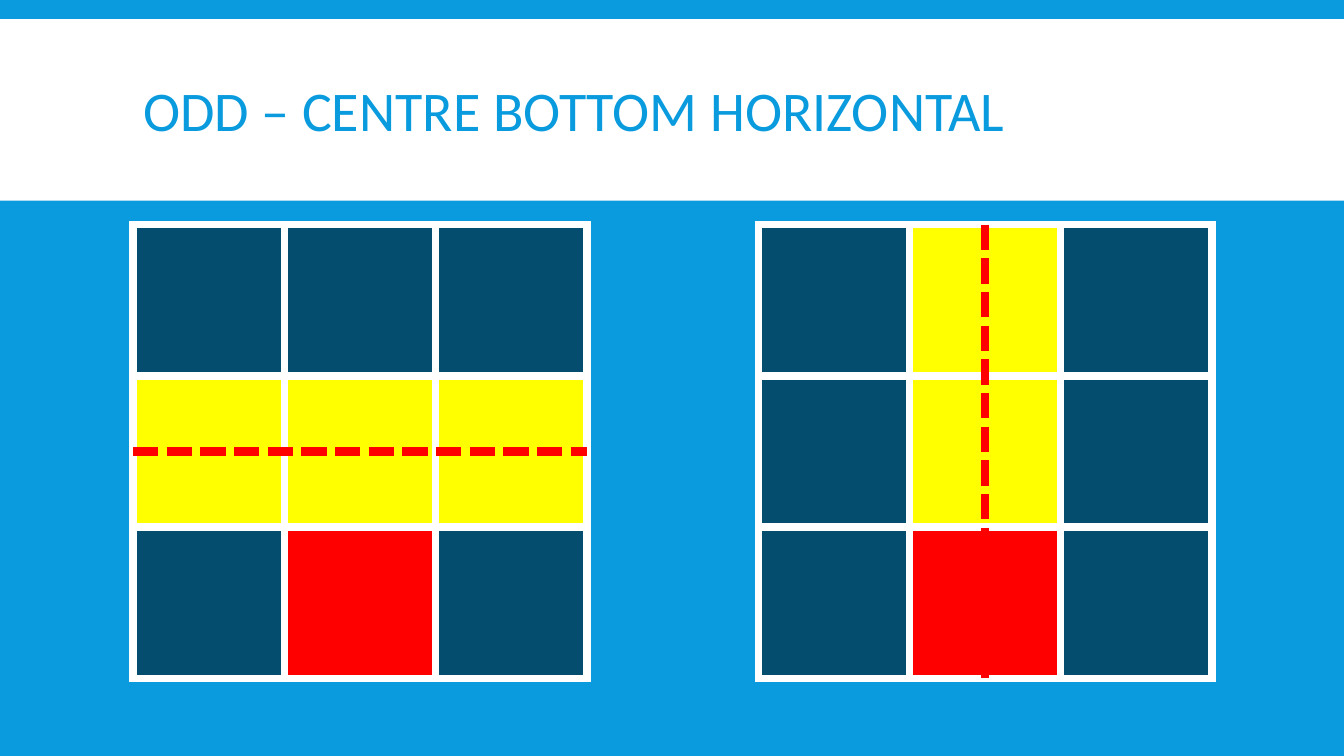
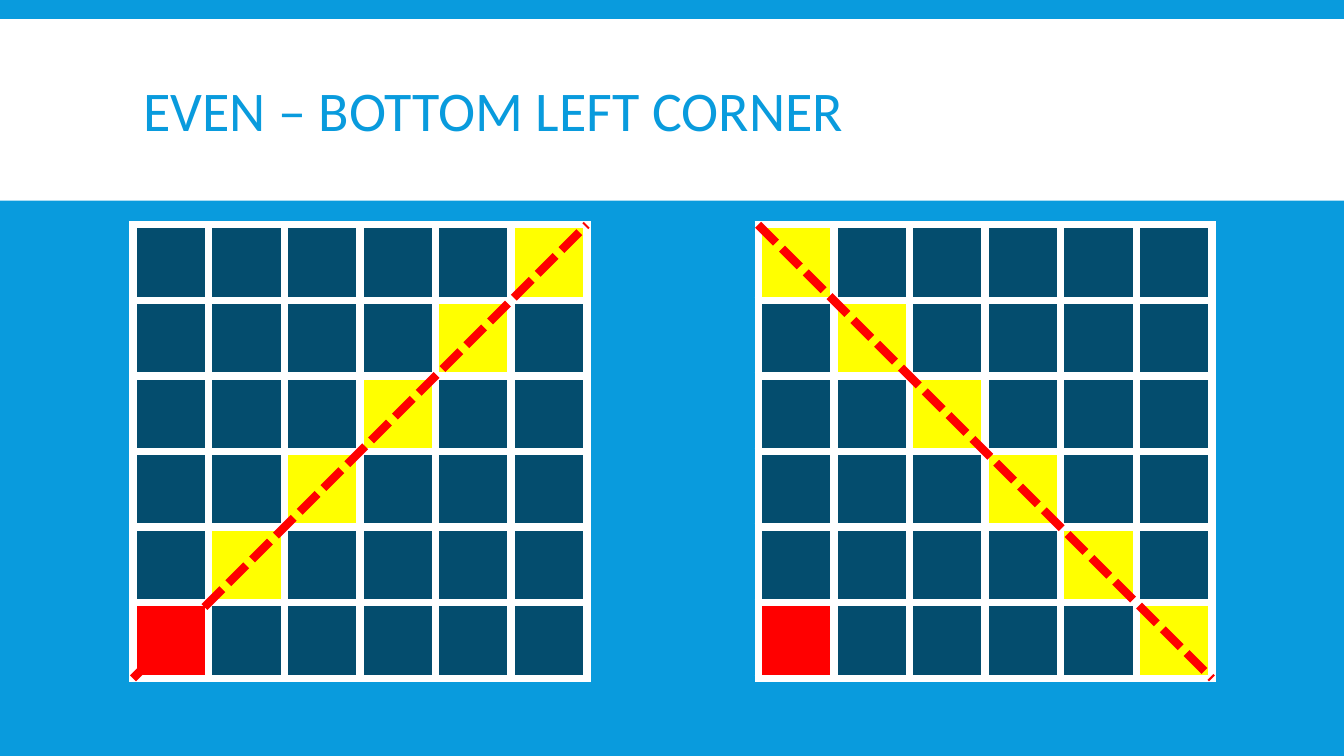
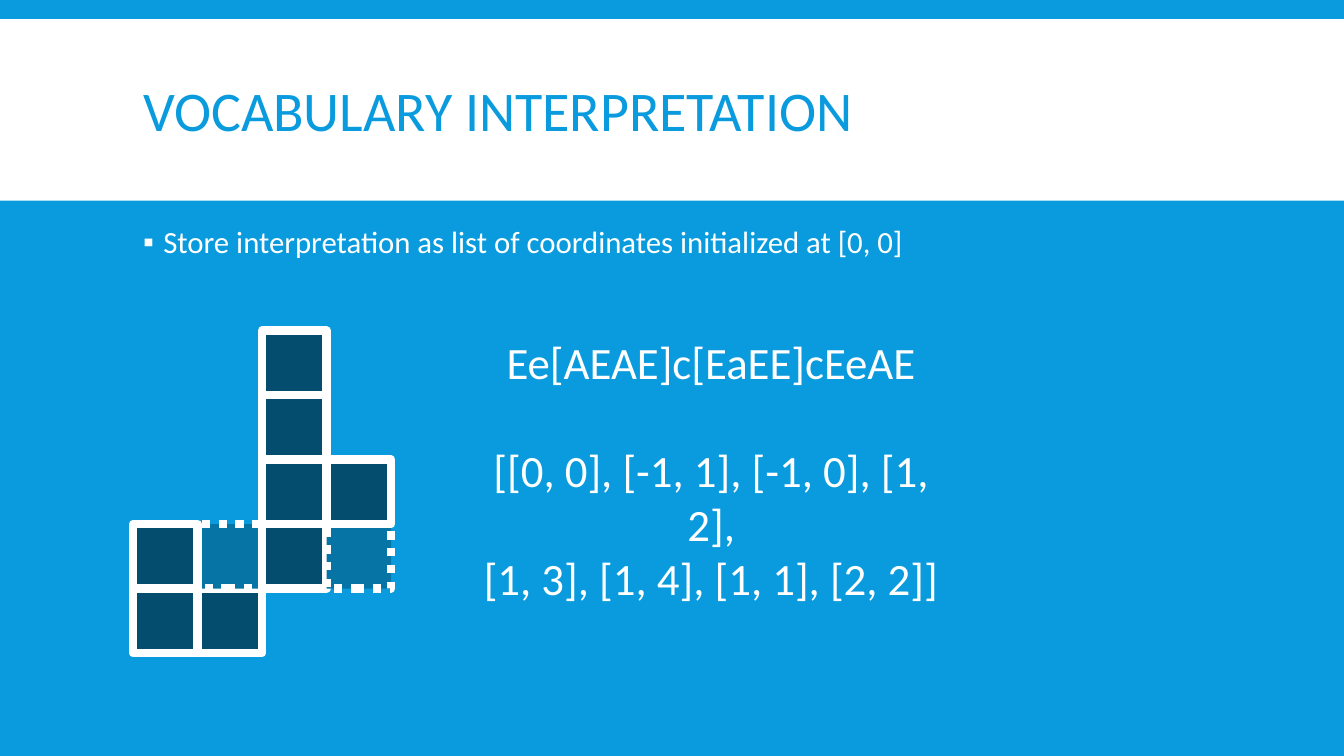
from lxml import etree
from pptx import Presentation
from pptx.dml.color import RGBColor
from pptx.enum.dml import MSO_LINE
from pptx.enum.shapes import MSO_CONNECTOR, MSO_SHAPE
from pptx.enum.text import MSO_ANCHOR, MSO_AUTO_SIZE, PP_ALIGN
from pptx.oxml.ns import qn
from pptx.util import Inches, Pt

BLUE = RGBColor(0x09, 0x9B, 0xDD)
NAVY = RGBColor(0x04, 0x4D, 0x6E)
MID_BLUE = RGBColor(0x07, 0x74, 0xA6)
WHITE = RGBColor(0xFF, 0xFF, 0xFF)
YELLOW = RGBColor(0xFF, 0xFF, 0x00)
RED = RGBColor(0xFF, 0x00, 0x00)

SYSTEM_DASH = MSO_LINE.SQUARE_DOT
SYSTEM_DOT = MSO_LINE.ROUND_DOT
RECTANGLE = MSO_SHAPE.RECTANGLE
STRAIGHT = MSO_CONNECTOR.STRAIGHT
LEFT, CENTER = PP_ALIGN.LEFT, PP_ALIGN.CENTER

FONT = "Calibri"
THICK = Pt(6)
MARGIN = 1.32
CONTENT_WIDTH = 10.7
TITLE_ONLY, TITLE_AND_BODY = 5, 1

CELL_COLOURS = {".": NAVY, "y": YELLOW, "r": RED}
GRID_LEFTS = (MARGIN, 7.52)
GRID_TOP, GRID_SIZE = 2.23, 4.5

# Each grid: its rows of cells, then the ends of its axis as fractions of its size
GRID_SLIDES = [
    ("ODD – CENTRE BOTTOM HORIZONTAL", [
        (("...", "yyy", ".r."), (0, 0.5), (1, 0.5)),
        ((".y.", ".y.", ".r."), (0.5, 0), (0.5, 1)),
    ]),
    ("EVEN – BOTTOM LEFT CORNER", [
        ((".....y", "....y.", "...y..", "..y...", ".y....", "r....."), (0, 1), (1, 0)),
        (("y.....", ".y....", "..y...", "...y..", "....y.", "r....y"), (0, 0), (1, 1)),
    ]),
]

VOCABULARY_TITLE = "VOCABULARY INTERPRETATION"
VOCABULARY_BULLET = "Store interpretation as list of coordinates initialized at [0, 0]"
# Text and space before, in points
VOCABULARY_LINES = [
    ("Ee[AEAE]c[EaEE]cEeAE", 0),
    ("[[0, 0], [-1, 1], [-1, 0], [1, 2],", 39),
    ("[1, 3], [1, 4], [1, 1], [2, 2]]", 0),
]
TILE_SIZE, TILES_TOP = 0.64, 3.28
# Column, row, dotted; from back to front
TILES = [
    (1, 4, False), (1, 3, True), (0, 3, False), (0, 4, False), (2, 2, False),
    (2, 1, False), (2, 0, False), (2, 3, False), (3, 3, True), (3, 2, False),
]


def place(shape, left, top, width, height):
    shape.left, shape.top = Inches(left), Inches(top)
    shape.width, shape.height = Inches(width), Inches(height)


def write(paragraph, text, size, colour, alignment, line_spacing=1.0, before=0):
    paragraph.alignment = alignment
    paragraph.line_spacing = line_spacing
    paragraph.space_before = Pt(before)
    run = paragraph.add_run()
    run.text = text
    run.font.name, run.font.size = FONT, Pt(size)
    run.font.color.rgb = colour


def fill_solid(target, colour):
    target.fill.solid()
    target.fill.fore_color.rgb = colour


def add_rectangle(shapes, left, top, width, height, colour):
    shape = shapes.add_shape(
        RECTANGLE, Inches(left), Inches(top), Inches(width), Inches(height))
    shape.shadow.inherit = False
    fill_solid(shape, colour)
    return shape


def set_up_master(presentation):
    """Give the master its background, title band and placeholder positions."""
    master = presentation.slide_master
    fill_solid(master.background, BLUE)
    for placeholder in master.placeholders:
        if placeholder.placeholder_format.idx == 0:
            place(placeholder, MARGIN, 0.31, CONTENT_WIDTH, 1.65)
            break


def add_master_band(presentation, slide):
    """Master shapes cannot be added directly, so draw the band and move it."""
    band = add_rectangle(slide.shapes, 0, 0.19, 13.33, 1.8, WHITE)
    band.line.fill.background()
    presentation.slide_master.shapes[0].element.addprevious(band.element)


def add_titled_slide(presentation, layout, title):
    slide = presentation.slides.add_slide(presentation.slide_layouts[layout])
    place(slide.shapes.title, MARGIN, 0.31, CONTENT_WIDTH, 1.65)
    frame = slide.shapes.title.text_frame
    frame.word_wrap = True
    frame.auto_size = MSO_AUTO_SIZE.NONE
    frame.vertical_anchor = MSO_ANCHOR.MIDDLE
    write(frame.paragraphs[0], title, 40, BLUE, LEFT, 0.85)
    return slide


def add_cell_borders(cell):
    properties = cell._tc.get_or_add_tcPr()
    for side in ("lnL", "lnR", "lnT", "lnB"):
        line = etree.SubElement(properties, qn("a:" + side), w=str(THICK))
        solid = etree.SubElement(line, qn("a:solidFill"))
        etree.SubElement(solid, qn("a:srgbClr"), val=str(WHITE))


def add_grid(slide, left, rows):
    count = len(rows)
    table = slide.shapes.add_table(
        count, count, Inches(left), Inches(GRID_TOP),
        Inches(GRID_SIZE), Inches(GRID_SIZE)).table
    table.first_row = table.horz_banding = False
    for row_index, row in enumerate(rows):
        for column_index, key in enumerate(row):
            cell = table.cell(row_index, column_index)
            add_cell_borders(cell)
            fill_solid(cell, CELL_COLOURS[key])


def add_axis(slide, left, start, end):
    ends = [Inches(origin + fraction * GRID_SIZE)
            for point in (start, end)
            for origin, fraction in zip((left, GRID_TOP), point)]
    axis = slide.shapes.add_connector(STRAIGHT, *ends)
    axis.line.color.rgb = RED
    axis.line.width = THICK
    axis.line.dash_style = SYSTEM_DASH
    etree.SubElement(axis.element.spPr, qn("a:effectLst"))


def add_bullet(paragraph):
    properties = paragraph._p.get_or_add_pPr()
    properties.set("marL", str(Inches(0.2)))
    properties.set("indent", str(Inches(-0.2)))
    colour = etree.SubElement(properties, qn("a:buClr"))
    etree.SubElement(colour, qn("a:srgbClr"), val=str(WHITE))
    etree.SubElement(properties, qn("a:buChar"), char="▪")


def add_tiles(slide):
    group = slide.shapes.add_group_shape()
    for column, row, dotted in TILES:
        tile = add_rectangle(
            group.shapes, MARGIN + column * TILE_SIZE, TILES_TOP + row * TILE_SIZE,
            TILE_SIZE, TILE_SIZE, MID_BLUE if dotted else NAVY)
        tile.line.color.rgb = WHITE
        tile.line.width = THICK
        if dotted:
            tile.line.dash_style = SYSTEM_DOT


def add_vocabulary_slide(presentation):
    slide = add_titled_slide(presentation, TITLE_AND_BODY, VOCABULARY_TITLE)
    body = slide.placeholders[1]
    place(body, MARGIN, 2.2, CONTENT_WIDTH, 4.6)
    body.text_frame.auto_size = MSO_AUTO_SIZE.NONE
    paragraph = body.text_frame.paragraphs[0]
    add_bullet(paragraph)
    write(paragraph, VOCABULARY_BULLET, 22, WHITE, LEFT, 0.9)

    frame = slide.shapes.add_textbox(
        Inches(4.51), Inches(3.27), Inches(5.09), Inches(2.26)).text_frame
    frame.word_wrap = True
    for index, (text, before) in enumerate(VOCABULARY_LINES):
        paragraph = frame.add_paragraph() if index else frame.paragraphs[0]
        write(paragraph, text, 32, WHITE, CENTER, before=before)
    add_tiles(slide)


def main():
    presentation = Presentation()
    presentation.slide_width, presentation.slide_height = Inches(13.33), Inches(7.5)
    set_up_master(presentation)
    for title, grids in GRID_SLIDES:
        slide = add_titled_slide(presentation, TITLE_ONLY, title)
        for left, (rows, start, end) in zip(GRID_LEFTS, grids):
            add_grid(slide, left, rows)
            add_axis(slide, left, start, end)
    add_vocabulary_slide(presentation)
    add_master_band(presentation, presentation.slides[0])
    presentation.save("out.pptx")


if __name__ == "__main__":
    main()
